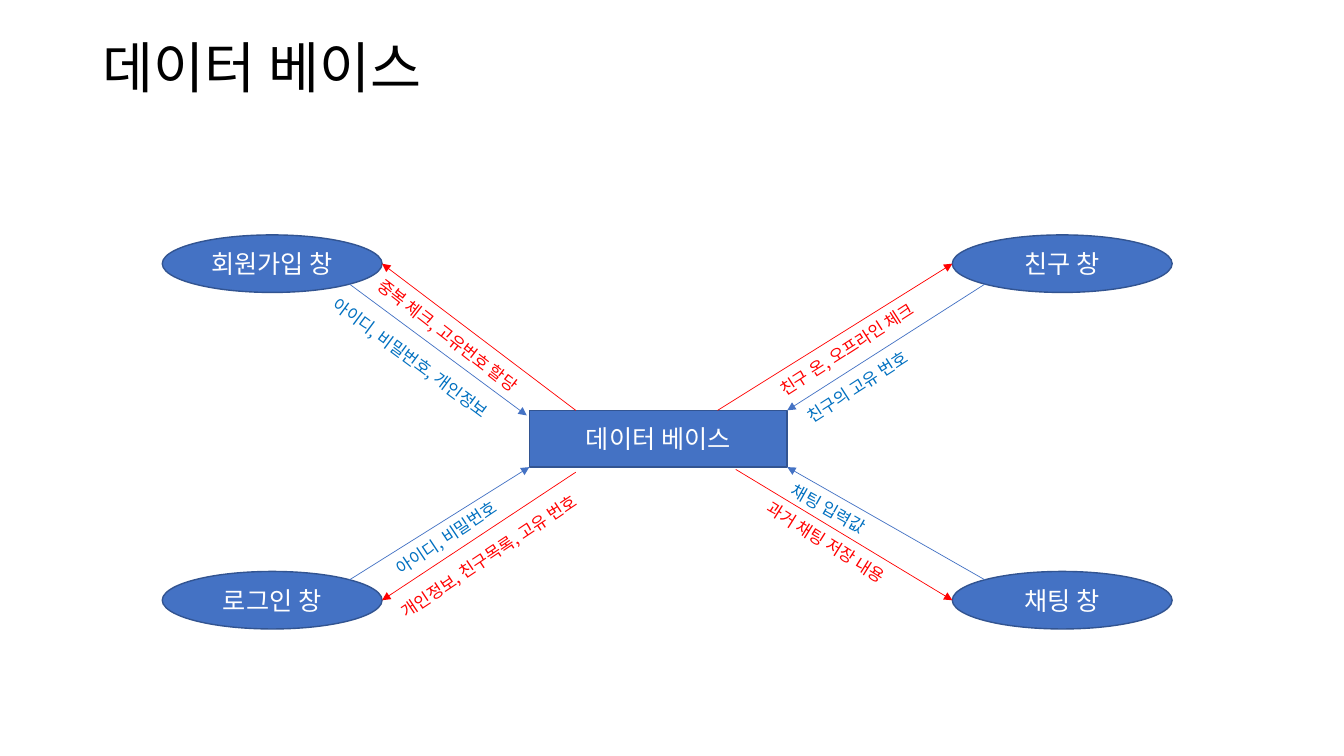
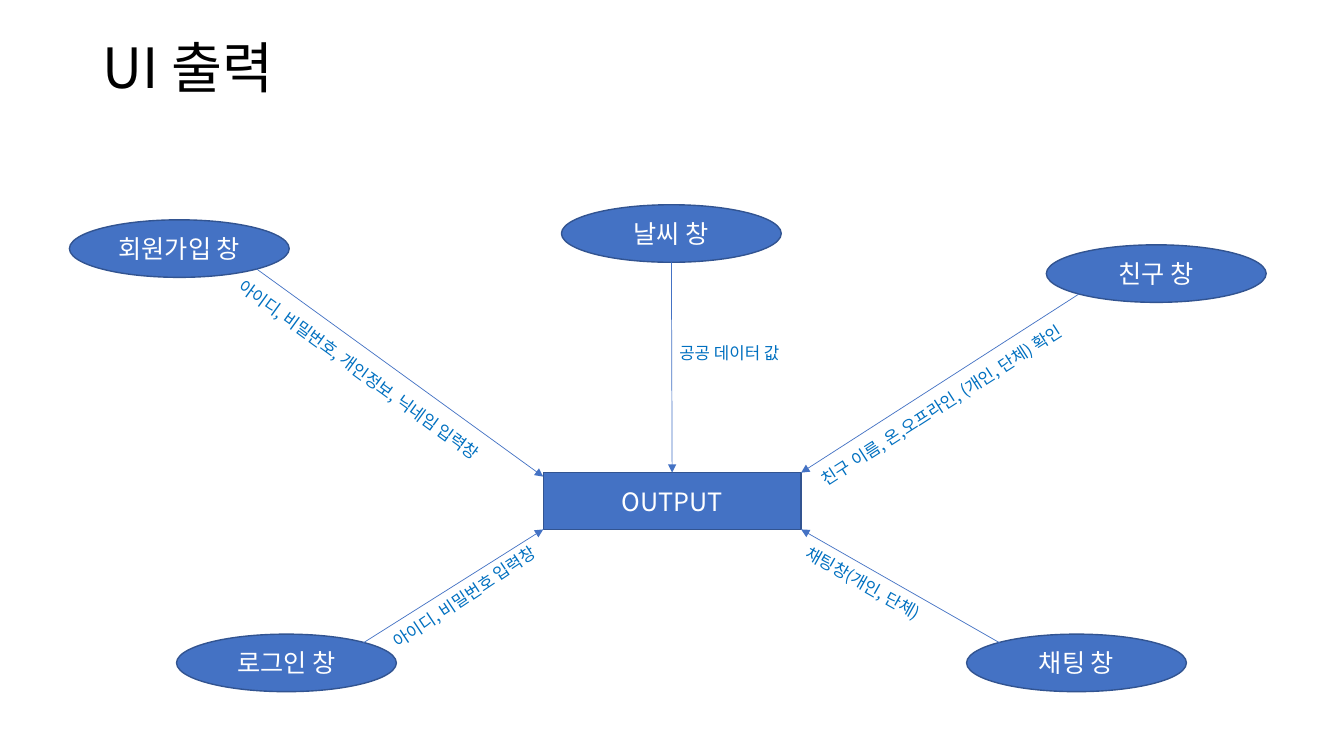
"""Draw two data-flow slides: windows around a hub, joined by labelled arrows."""
from dataclasses import dataclass

from lxml import etree
from pptx import Presentation
from pptx.dml.color import RGBColor
from pptx.enum.shapes import MSO_CONNECTOR, MSO_SHAPE
from pptx.enum.text import MSO_ANCHOR, MSO_AUTO_SIZE, PP_ALIGN
from pptx.oxml.ns import qn
from pptx.util import Cm, Pt

RECTANGLE, ELLIPSE = MSO_SHAPE.RECTANGLE, MSO_SHAPE.OVAL
STRAIGHT = MSO_CONNECTOR.STRAIGHT
LEFT, CENTER = PP_ALIGN.LEFT, PP_ALIGN.CENTER
TOP, MIDDLE = MSO_ANCHOR.TOP, MSO_ANCHOR.MIDDLE
GROW, FIXED = MSO_AUTO_SIZE.SHAPE_TO_FIT_TEXT, MSO_AUTO_SIZE.NONE

FONT = "Noto Sans CJK KR"
BLACK, WHITE = "000000", "FFFFFF"
FILL, OUTLINE = "4472C4", "325491"
REQUEST_TEXT, REPLY = "0070C0", "FF0000"

LEFT_SIDE, RIGHT_SIDE = (0, 0.5), (1, 0.5)
TOP_LEFT, TOP_RIGHT = (0.15, 0.15), (0.85, 0.15)
BOTTOM_LEFT, BOTTOM_RIGHT = (0.15, 0.85), (0.85, 0.85)


@dataclass(frozen=True)
class Node:
    """A labelled box, measured in centimetres."""
    text: str
    left: float
    top: float
    width: float = 5.54
    height: float = 1.45
    preset: int = ELLIPSE

    def point(self, spot: tuple) -> tuple:
        """Return the place at a fraction of the width and height."""
        return (Cm(self.left + spot[0] * self.width),
                Cm(self.top + spot[1] * self.height))


@dataclass(frozen=True)
class Label:
    """A rotated caption, measured in centimetres."""
    text: str
    left: float
    top: float
    angle: float
    width: float = 6.5
    align: int = LEFT


@dataclass(frozen=True)
class Link:
    """An arrow between a window and the hub, with its caption."""
    window: Node
    window_spot: tuple
    hub_spot: tuple
    label: Label
    is_reply: bool = False


@dataclass(frozen=True)
class Diagram:
    """All that one slide shows."""
    title: str
    hub: Node
    windows: tuple
    links: tuple


def colour(code: str) -> RGBColor:
    """Turn a hex string into a colour."""
    return RGBColor.from_string(code)


def write(shape, text: str, size: float, code: str, align: int, anchor: int,
          fit: int = FIXED, spacing: float = 1.0) -> None:
    """Put one styled run of text in a shape."""
    frame = shape.text_frame
    frame.word_wrap = True
    frame.auto_size = fit
    frame.vertical_anchor = anchor
    para = frame.paragraphs[0]
    para.alignment = align
    para.line_spacing = spacing
    span = para.add_run()
    span.text = text
    span.font.size = Pt(size)
    span.font.name = FONT
    span.font.color.rgb = colour(code)
    east_asian = etree.SubElement(span.font._element, qn("a:ea"))
    east_asian.set("typeface", FONT)


def draw_title(page, text: str) -> None:
    """Write the slide title."""
    box = page.shapes.add_textbox(Cm(2.34), Cm(1.02), Cm(29.21), Cm(1.5))
    write(box, text, 39.6, BLACK, LEFT, MIDDLE, spacing=0.9)


def draw_node(page, node: Node) -> None:
    """Draw the hub or a window."""
    box = page.shapes.add_shape(node.preset, Cm(node.left), Cm(node.top),
                                Cm(node.width), Cm(node.height))
    box.shadow.inherit = False
    box.fill.solid()
    box.fill.fore_color.rgb = colour(FILL)
    box.line.color.rgb = colour(OUTLINE)
    box.line.width = Pt(1)
    write(box, node.text, 18, WHITE, CENTER, MIDDLE)


def draw_label(page, label: Label, code: str) -> None:
    """Write a caption along its arrow."""
    box = page.shapes.add_textbox(Cm(label.left), Cm(label.top),
                                  Cm(label.width), Cm(0.77))
    box.rotation = label.angle
    write(box, label.text, 12, code, label.align, TOP, GROW)


def draw_link(page, hub: Node, link: Link) -> None:
    """Draw an arrow to the hub, or back for a reply, and its caption."""
    start, end = link.window.point(link.window_spot), hub.point(link.hub_spot)
    if link.is_reply:
        start, end = end, start
    arrow = page.shapes.add_connector(STRAIGHT, *start, *end)
    arrow.line.color.rgb = colour(REPLY if link.is_reply else FILL)
    arrow.line.width = Pt(0.5)
    properties = arrow._element.spPr
    head = etree.SubElement(properties.find(qn("a:ln")), qn("a:tailEnd"))
    head.set("type", "triangle")
    etree.SubElement(properties, qn("a:effectLst"))
    draw_label(page, link.label, REPLY if link.is_reply else REQUEST_TEXT)


def draw_diagram(deck, diagram: Diagram) -> None:
    """Add one slide with its diagram."""
    page = deck.slides.add_slide(deck.slide_layouts[6])
    draw_title(page, diagram.title)
    for node in (diagram.hub, *diagram.windows):
        draw_node(page, node)
    for link in diagram.links:
        draw_link(page, diagram.hub, link)


def make_hub(text: str, left: float, top: float) -> Node:
    """Describe the central rectangle."""
    return Node(text, left, top, 6.5, 1.43, RECTANGLE)


def database_diagram() -> Diagram:
    """Describe the flows to and from the database."""
    near, far, upper, lower = 4.09, 24.0, 5.92, 14.4
    join = Node("회원가입 창", near, upper)
    login = Node("로그인 창", near, lower)
    friend = Node("친구 창", far, upper)
    chat = Node("채팅 창", far, lower)
    links = (
        Link(join, BOTTOM_RIGHT, (-0.01, 0.09),
             Label("아이디, 비밀번호, 개인정보", 7.62, 9.02, 36.5)),
        Link(join, RIGHT_SIDE, (0.18, 0),
             Label("중복 체크, 고유번호 할당", 8.71, 8.59, 37.8), True),
        Link(login, TOP_RIGHT, (0, 1),
             Label("아이디, 비밀번호", 8.0, 13.16, -33.7, align=CENTER)),
        Link(login, RIGHT_SIDE, (0.18, 1.09),
             Label("개인정보, 친구목록, 고유 번호", 9.4, 13.41, -33.7), True),
        Link(friend, BOTTOM_LEFT, (1, 0),
             Label("친구의 고유 번호", 19.66, 8.53, -32.7)),
        Link(friend, LEFT_SIDE, (0.73, 0),
             Label("친구 온, 오프라인 체크", 18.97, 7.85, -32.7), True),
        Link(chat, TOP_LEFT, (1, 1),
             Label("채팅 입력값", 19.35, 13.41, 29.5)),
        Link(chat, LEFT_SIDE, (0.8, 1.04),
             Label("과거 채팅 저장 내용", 18.67, 13.97, 32.1), True),
    )
    return Diagram("데이터 베이스", make_hub("데이터 베이스", 13.34, 10.34),
                   (join, login, friend, chat), links)


def output_diagram() -> Diagram:
    """Describe the flows to the output."""
    join = Node("회원가입 창", 1.75, 5.54)
    login = Node("로그인 창", 4.45, 15.98)
    friend = Node("친구 창", 26.37, 6.17)
    chat = Node("채팅 창", 24.36, 15.98)
    weather = Node("날씨 창", 14.15, 5.16)
    links = (
        Link(join, BOTTOM_RIGHT, (0, 0.07),
             Label("아이디, 비밀번호, 개인정보, 닉네임 입력창",
                   5.03, 9.22, 36, 8.81)),
        Link(login, TOP_RIGHT, (0, 1),
             Label("아이디, 비밀번호 입력창", 8.46, 14.66, -33.7, align=CENTER)),
        Link(friend, BOTTOM_LEFT, (1, 0),
             Label("친구 이름, 온,오프라인, (개인, 단체) 확인",
                   19.89, 9.65, -32.7, 8.23)),
        Link(chat, TOP_LEFT, (1, 1),
             Label("채팅창(개인, 단체)", 19.71, 14.99, 29.5)),
        Link(weather, (0.5, 1), (0.5, 0),
             Label("공공 데이터 값", 16.87, 8.51, 0)),
    )
    return Diagram("UI 출력", make_hub("OUTPUT", 13.69, 11.91),
                   (join, login, friend, chat, weather), links)


def main() -> None:
    """Build and save the deck."""
    deck = Presentation()
    deck.slide_width, deck.slide_height = Cm(33.87), Cm(19.05)
    for diagram in (database_diagram(), output_diagram()):
        draw_diagram(deck, diagram)
    deck.save("out.pptx")


main()
